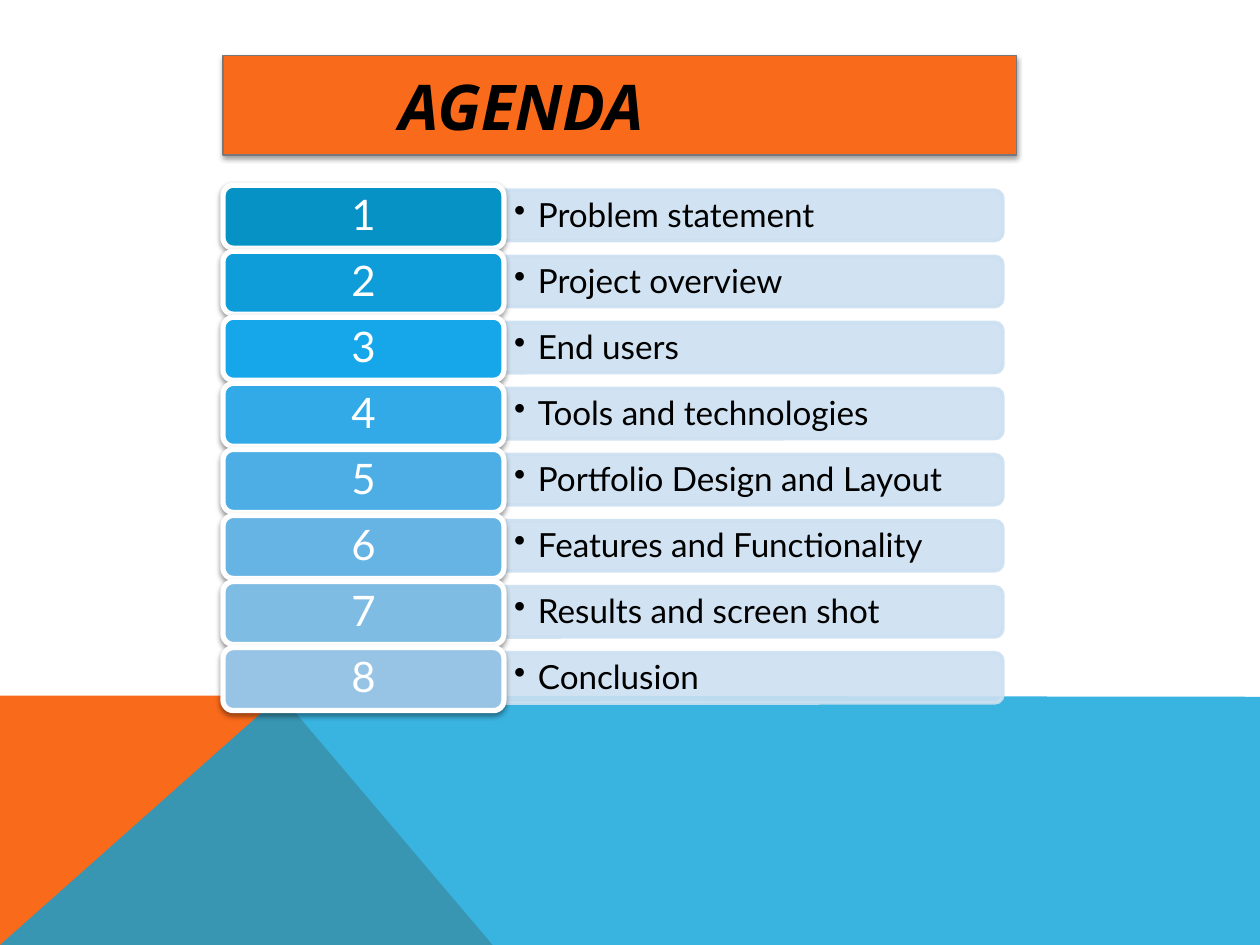
from lxml import etree
from pptx import Presentation
from pptx import util as u
from pptx.dml.color import RGBColor
from pptx.enum import shapes, text
from pptx.oxml.ns import qn

COLORS = {
    "orange": "F96A1B", "blue": "08A1D9", "bar": "CCE0F1",
    "white": "FFFFFF", "black": "000000", "border": "76787B",
}
AGENDA = [
    ("Problem statement", "0792C5"),
    ("Project overview", "0E9DD8"),
    ("End users", "15A7E9"),
    ("Tools and technologies", "31AAE7"),
    ("Portfolio Design and Layout", "4CAEE4"),
    ("Features and Functionality", "66B4E3"),
    ("Results and screen shot", "7FBCE4"),
    ("Conclusion", "97C4E5"),
]


def write(sp, content, font="Lato", size=19, color="black", bold=False,
          italic=False, align=text.PP_ALIGN.LEFT, spacing=0.9, margin=0,
          hanging=0, inset=(0.1, 0.05), bullet=None):
    tf = sp.text_frame
    tf.word_wrap = True
    tf.vertical_anchor = text.MSO_ANCHOR.MIDDLE
    tf.margin_left = tf.margin_right = u.Inches(inset[0])
    tf.margin_top = tf.margin_bottom = u.Inches(inset[1])
    p = tf.paragraphs[0]
    p.alignment, p.line_spacing = align, spacing
    pPr = p._p.get_or_add_pPr()
    pPr.set("marL", str(u.Inches(margin)))
    pPr.set("indent", str(-u.Inches(hanging)))
    if bullet:
        p.level = 1
        etree.SubElement(pPr, qn("a:buChar"), char=bullet)
    r = p.add_run()
    r.text = content
    r.font.name, r.font.size = font, u.Pt(size)
    r.font.bold, r.font.italic = bold, italic
    r.font.color.rgb = RGBColor.from_string(COLORS[color])


class Deck:
    """Draw styled elements on the current slide."""

    def __init__(self, width, height):
        self.prs = Presentation()
        self.prs.slide_width = u.Inches(width)
        self.prs.slide_height = u.Inches(height)
        self.s = self.prs.slides.add_slide(self.prs.slide_layouts[6])

    def paint(self, fill, color, alpha=100):
        fill.solid()
        fill.fore_color.rgb = RGBColor.from_string(COLORS.get(color, color))
        if alpha < 100:
            for clr in fill._xPr.iter(qn("a:srgbClr")):
                if clr.find(qn("a:alpha")) is None:
                    etree.SubElement(clr, qn("a:alpha"), val=str(alpha * 1000))

    def style(self, sp, fill, line=None, width=0, alpha=100, shadow=False):
        self.paint(sp.fill, fill, alpha)
        if line:
            sp.line.width = u.Pt(width)
            self.paint(sp.line.fill, line, alpha)
        else:
            sp.line.fill.background()
        sp.shadow.inherit = False
        if shadow:
            effects = sp._element.spPr.find(qn("a:effectLst"))
            outer = etree.SubElement(
                effects, qn("a:outerShdw"), blurRad=str(u.Pt(3.1)),
                dist=str(u.Pt(1.6)), dir="5400000", rotWithShape="0")
            clr = etree.SubElement(outer, qn("a:srgbClr"), val=COLORS["black"])
            etree.SubElement(clr, qn("a:alpha"), val="38000")

    def polygon(self, points, fill, alpha=100):
        start, *rest = [(u.Inches(x), u.Inches(y)) for x, y in points]
        fb = self.s.shapes.build_freeform(*start)
        fb.add_line_segments(rest, close=True)
        self.style(fb.convert_to_shape(), fill, alpha=alpha)

    def shape(self, kind, x, y, w, h, fill, rotation=0, **style):
        sp = self.s.shapes.add_shape(kind, *map(u.Inches, (x, y, w, h)))
        sp.rotation = rotation
        self.style(sp, fill, **style)
        return sp

    def label(self, x, y, w, h, content, **fmt):
        write(self.s.shapes.add_textbox(*map(u.Inches, (x, y, w, h))), content, **fmt)


def main():
    deck = Deck(10, 7.5)
    kinds = shapes.MSO_SHAPE
    deck.polygon([(0, 7.5), (0, 5.52), (2.23, 5.52), (3.91, 7.5)], "orange")
    deck.polygon([(0, 7.5), (2.23, 5.52), (10, 5.53), (10, 7.5)], "blue", alpha=80)

    first, last = 1.47, 5.14
    pitch = (last - first) / (len(AGENDA) - 1)
    for i, (topic, color) in enumerate(AGENDA):
        top = first + i * pitch
        deck.shape(kinds.ROUND_2_SAME_RECTANGLE, 5.78, top - 1.74, 0.4, 3.96,
                   "bar", rotation=90, line="bar", width=2, alpha=90)
        deck.label(4, top + 0.07, 3.94, 0.36, topic, margin=0.19, hanging=0.19,
                   inset=(0.08, 0.04), bullet="•")
        badge = deck.shape(kinds.ROUNDED_RECTANGLE, 1.77, top, 2.23, 0.5, color,
                           line="white", width=3, shadow=True)
        write(badge, str(i + 1), size=24, color="white", align=text.PP_ALIGN.CENTER)

    title = deck.shape(kinds.RECTANGLE, 1.77, 0.44, 6.3, 0.79, "orange",
                       line="border", width=0.75, shadow=True)
    write(title, "AGENDA", font="Open Sans", size=36, bold=True, italic=True,
          spacing=1.0, margin=1.3)
    deck.prs.save("out.pptx")


if __name__ == "__main__":
    main()
